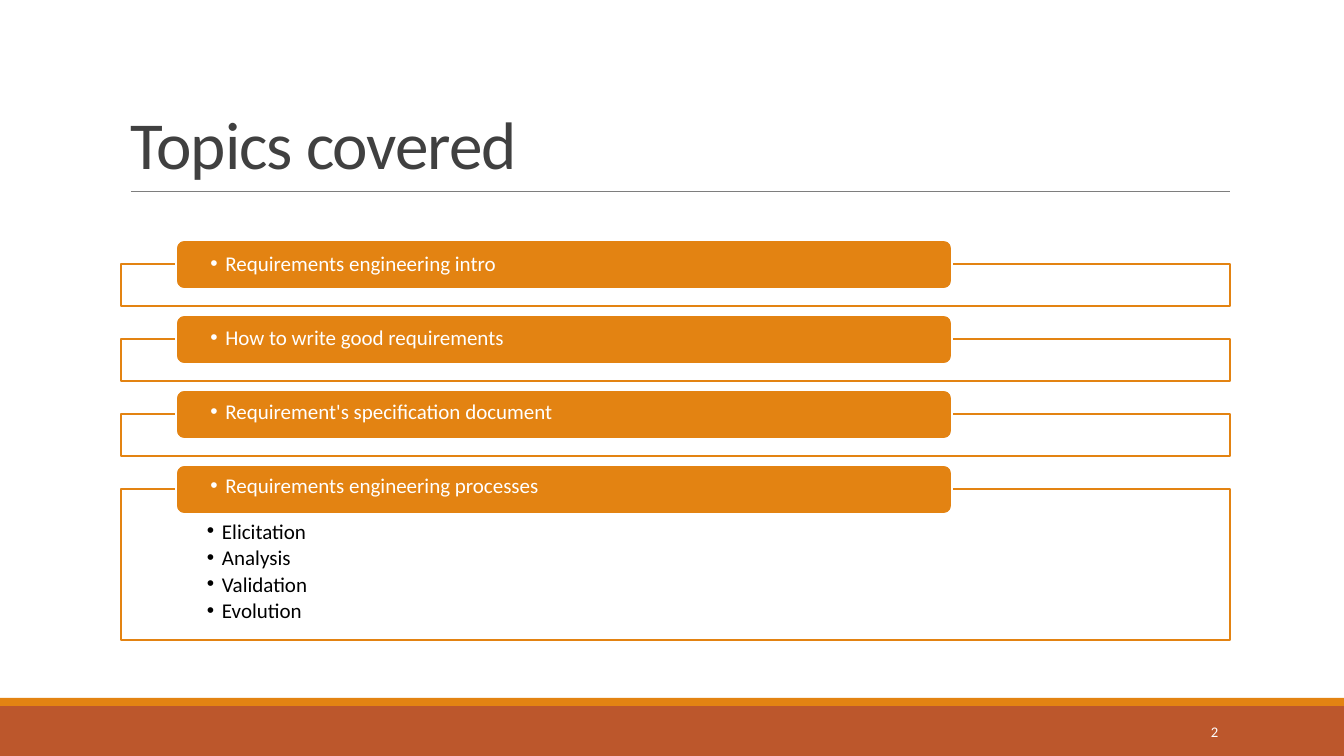
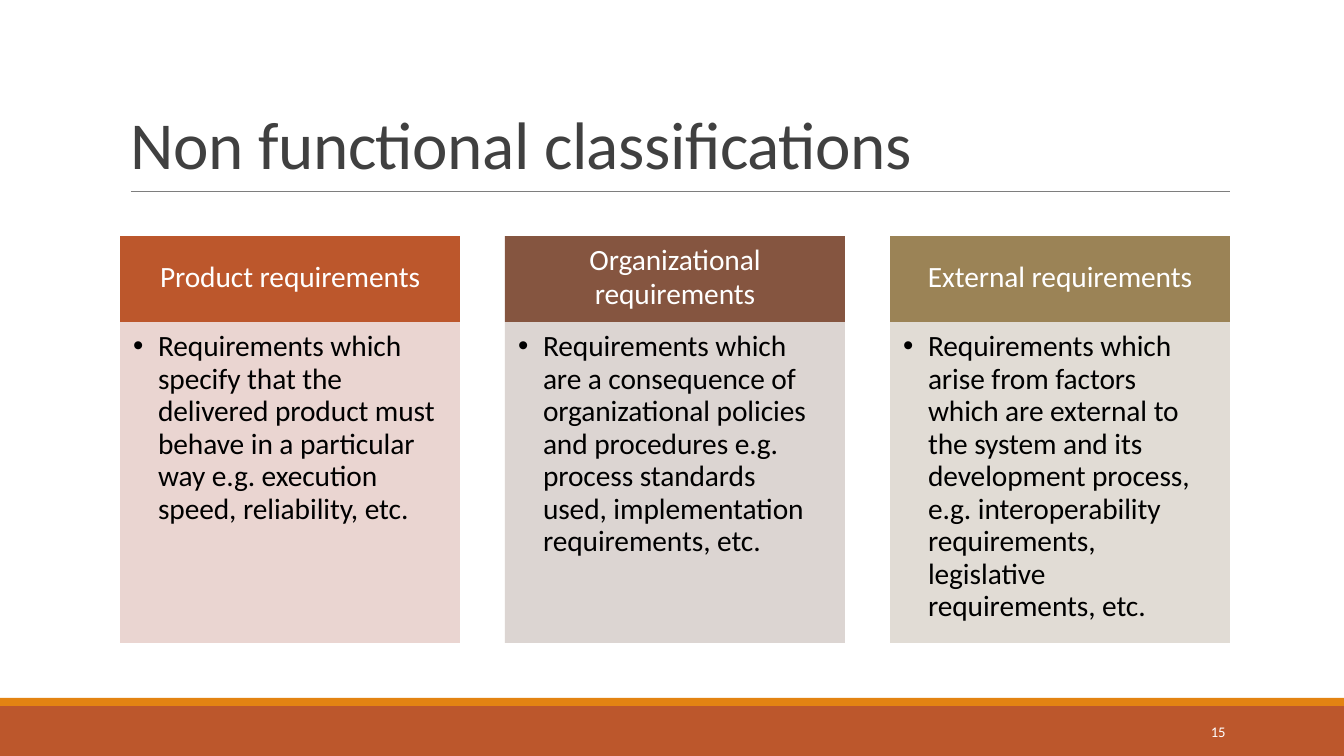
import pptx
import pptx.util
import pptx.dml.color
import pptx.enum.shapes
import pptx.enum.text
import pptx.oxml
import pptx.oxml.ns

SHAPE = pptx.enum.shapes.MSO_SHAPE
ALIGN = pptx.enum.text.PP_ALIGN
ANCHOR = pptx.enum.text.MSO_ANCHOR

# Content
TOPICS = [
    ("Requirements engineering intro", []),
    ("How to write good requirements", []),
    ("Requirement's specification document", []),
    ("Requirements engineering processes",
     ["Elicitation", "Analysis", "Validation", "Evolution"]),
]
CLASSES = [
    ("Product requirements", "rust", "rust_tint",
     "Requirements which specify that the delivered product must behave in a "
     "particular way e.g. execution speed, reliability, etc."),
    ("Organizational requirements", "brown", "brown_tint",
     "Requirements which are a consequence of organizational policies and "
     "procedures e.g. process standards used, implementation requirements, etc."),
    ("External requirements", "olive", "olive_tint",
     "Requirements which arise from factors which are external to the system "
     "and its development process, e.g. interoperability requirements, "
     "legislative requirements, etc."),
]

# Shared style
FONT = "Calibri"
COLORS = {
    "rust": "BC572C", "orange": "E38312", "brown": "855540", "olive": "9B8356",
    "rust_tint": "E8D1CD", "brown_tint": "D9D1CE", "olive_tint": "DED9D1",
    "title": "404040", "rule": "7E7E7E", "white": "FFFFFF", "black": "000000",
}
WIDTH, HEIGHT = 1344, 756
EMU_PER_PX = 12192000 / WIDTH


def px(length):
    return pptx.util.Emu(round(length * EMU_PER_PX))


def color(name):
    return pptx.dml.color.RGBColor.from_string(COLORS[name])


def add_xml(parent, tag, **attributes):
    child = pptx.oxml.parse_xml(f"<a:{tag} {pptx.oxml.ns.nsdecls('a')}/>")
    for key, value in attributes.items():
        child.set(key, str(value))
    parent.append(child)


def add_box(page, left, top, width, height, fill=None, line=None,
            kind=SHAPE.RECTANGLE, alpha=None):
    box = page.shapes.add_shape(kind, px(left), px(top), px(width), px(height))
    box.shadow.inherit = False
    if fill:
        box.fill.solid()
        box.fill.fore_color.rgb = color(fill)
        if alpha:
            solid = box.fill._xPr.find(pptx.oxml.ns.qn("a:solidFill"))
            add_xml(solid[0], "alpha", val=alpha * 1000)
    else:
        box.fill.background()
    if line:
        box.line.color.rgb = color(line)
        box.line.width = pptx.util.Pt(1.25)
    else:
        box.line.fill.background()
    return box


def write(box, lines, size, ink, margins=(0, 0, 0, 0), anchor=ANCHOR.TOP,
          align=ALIGN.LEFT, bullet=None, spacing=None, gap=0, tracking=0):
    """Margins are left, top, right, bottom; bullet is text indent and hang."""
    frame = box.text_frame
    frame.word_wrap = True
    frame.auto_size = pptx.enum.text.MSO_AUTO_SIZE.NONE
    frame.vertical_anchor = anchor
    (frame.margin_left, frame.margin_top,
     frame.margin_right, frame.margin_bottom) = map(px, margins)
    for index, line in enumerate(lines):
        para = frame.add_paragraph() if index else frame.paragraphs[0]
        para.text = line
        para.alignment = align
        para.space_before = pptx.util.Pt(gap if index else 0)
        if spacing:
            para.line_spacing = spacing
        if bullet:
            props = para._p.get_or_add_pPr()
            props.set("marL", str(px(bullet[0])))
            props.set("indent", str(-px(bullet[1])))
            add_xml(props, "buFont", typeface="Arial")
            add_xml(props, "buChar", char="•")
        para.font.name = FONT
        para.font.size = pptx.util.Pt(size)
        para.font.color.rgb = color(ink)
        if tracking:
            para.font._rPr.set("spc", str(tracking))


def add_page(deck, title, number, tracking):
    page = deck.slides.add_slide(deck.slide_layouts[5])
    # Footer bands
    add_box(page, 0, 706, WIDTH, 50, "rust")
    add_box(page, 0, 698, WIDTH, 8, "orange")
    # Title and its rule
    rule = page.shapes.add_connector(
        pptx.enum.shapes.MSO_CONNECTOR.STRAIGHT, px(131), px(191), px(1230), px(191))
    rule.line.color.rgb = color("rule")
    rule.line.width = pptx.util.Pt(0.5)
    add_xml(rule._element.spPr, "effectLst")
    heading = page.shapes.title
    heading.left, heading.top, heading.width, heading.height = map(
        px, (131, 99, 1099, 84))
    write(heading, [title], 48, "title", anchor=ANCHOR.BOTTOM, tracking=tracking)
    # Page number
    corner = page.shapes.add_textbox(px(1211), px(725), px(25), px(17))
    write(corner, [number], 10.5, "white", spacing=pptx.util.Pt(11.1), tracking=-20)
    return page


def add_topics(page):
    top, pitch, tab_height, overlap = 240, 75, 49, 24
    for index, (topic, details) in enumerate(TOPICS):
        tab_top = top + pitch * index
        frame = add_box(page, 121, tab_top + overlap, 1109,
                        151 if details else 42, line="orange")
        if details:
            write(frame, details, 15, "black", (86, 29, 0, 0),
                  bullet=(15, 15), gap=1)
        tab = add_box(page, 176, tab_top, 776, tab_height, "orange", "white",
                      SHAPE.ROUNDED_RECTANGLE)
        # Each label sits one pixel higher in its tab than the one above
        write(tab, [topic], 15, "white", (31, 0, 0, 3 + 2 * index),
              ANCHOR.MIDDLE, bullet=(16, 15))


def add_classes(page):
    left, top, width, gap = 120, 236, 340, 45
    head_height, body_height = 86, 321
    for index, (name, fill, tint, text) in enumerate(CLASSES):
        x = left + (width + gap) * index
        head = add_box(page, x, top, width, head_height, fill)
        write(head, [name], 21, "white", (30, 0, 30, 5), ANCHOR.MIDDLE,
              ALIGN.CENTER, spacing=pptx.util.Pt(24.2), tracking=-7)
        body = add_box(page, x, top + head_height, width, body_height, tint, alpha=90)
        write(body, [text], 21, "black", (0, 9, 21, 0), bullet=(38, 25),
              spacing=0.92, tracking=-7)


def main():
    deck = pptx.Presentation()
    deck.slide_width, deck.slide_height = px(WIDTH), px(HEIGHT)
    add_topics(add_page(deck, "Topics covered", "2", -80))
    add_classes(add_page(deck, "Non functional classifications", "15", -35))
    deck.save("out.pptx")


if __name__ == "__main__":
    main()
